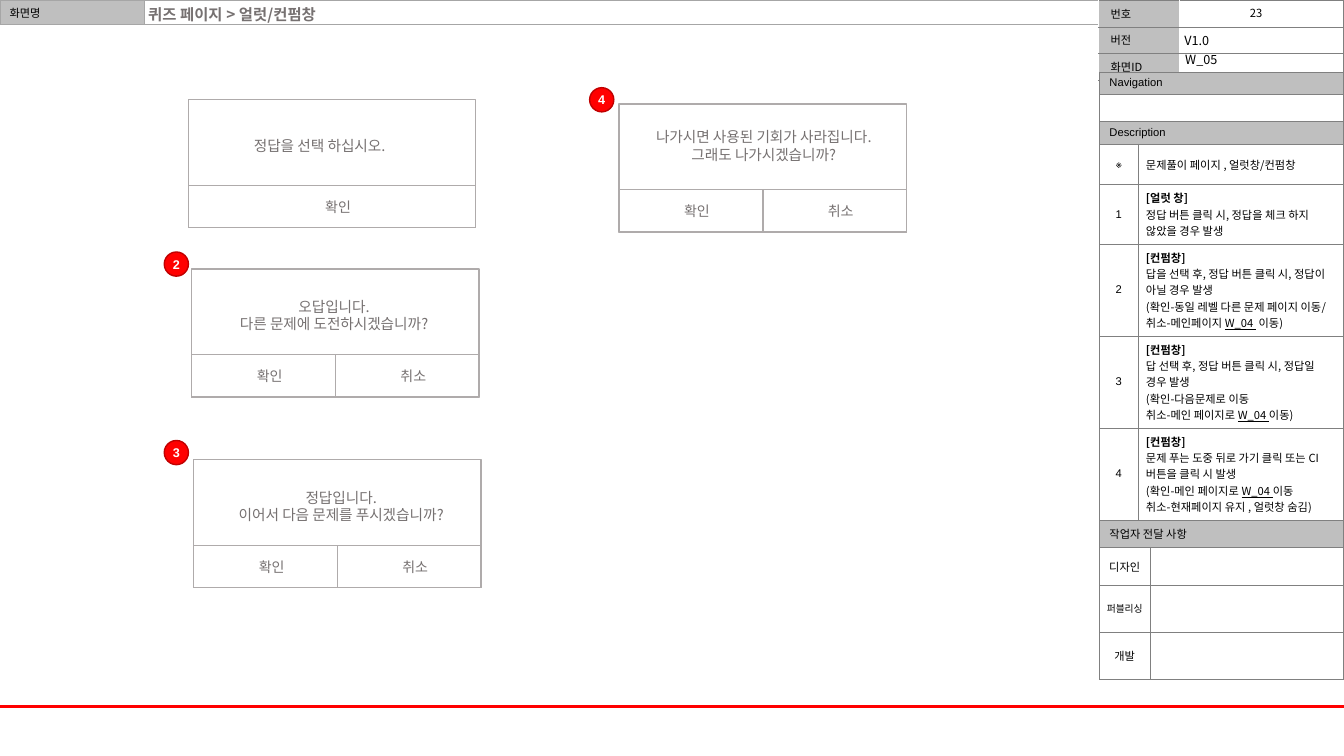
import pptx
import pptx.dml.color
import pptx.enum.shapes
import pptx.enum.text
import pptx.oxml.ns
import pptx.util
from lxml import etree

Cm = pptx.util.Cm
Pt = pptx.util.Pt
SHAPE = pptx.enum.shapes.MSO_SHAPE
ALIGN = pptx.enum.text.PP_ALIGN
MIDDLE = pptx.enum.text.MSO_ANCHOR.MIDDLE
qn = pptx.oxml.ns.qn

NOTO, ARIAL = "Noto Sans CJK KR", "Arial"
BLACK, WHITE, GRAY = "000000", "FFFFFF", "BFBFBF"
TEXT, FRAME, GRID, HEAD_GRID = "767171", "AFABAB", "808080", "A6A6A6"
RED, DARK_RED = "FF0000", "C00000"
LINK = "W_04 "
DIALOG_W, DIALOG_H, BUTTON_TOP, BUTTON_H, OK_W = 7.24, 3.23, 2.16, 1.07, 3.63

# Message, dialog corner, message box, buttons, badge number and corner
DIALOGS = [
    (["정답을 선택 하십시오."], (4.75, 2.51), (6.15, 3.33, 4.22, 0.71),
     ["확인"], None),
    (["오답입니다.", "다른 문제에 도전하시겠습니까?"], (4.83, 6.78),
     (5.51, 7.37, 5.82, 1.14), ["확인", "취소"], ("2", 4.14, 6.35)),
    (["정답입니다.", "이어서 다음 문제를 푸시겠습니까?"], (4.88, 11.58),
     (5.44, 12.19, 6.32, 1.14), ["확인", "취소"], ("3", 4.14, 11.1)),
    (["나가시면 사용된 기회가 사라집니다.", "그래도 나가시겠습니까?"], (15.6, 2.62),
     (15.95, 3.1, 6.6, 1.14), ["확인", "취소"], ("4", 14.86, 2.21)),
]

NOTES = [
    ("※", ["문제풀이 페이지 , 얼럿창/컨펌창"]),
    ("1", ["[얼럿 창]", "정답 버튼 클릭 시, 정답을 체크 하지 않았을 경우 발생"]),
    ("2", ["[컨펌창]", "답을 선택 후, 정답 버튼 클릭 시, 정답이 아닐 경우 발생",
           "(확인-동일 레벨 다른 문제 페이지 이동/ 취소-메인페이지 W_04  이동)"]),
    ("3", ["[컨펌창]", "답 선택 후, 정답 버튼 클릭 시, 정답일 경우 발생",
           "(확인-다음문제로 이동", "취소-메인 페이지로 W_04 이동)"]),
    ("4", ["[컨펌창]", "문제 푸는 도중 뒤로 가기 클릭 또는 CI버튼을 클릭 시 발생",
           "(확인-메인 페이지로 W_04 이동", "취소-현재페이지 유지 , 얼럿창 숨김)"]),
]
WORKERS = [("디자인", 8), ("퍼블리싱", 7), ("개발", 8)]


def rgb(color):
    return pptx.dml.color.RGBColor.from_string(color)


def write(tf, lines, size, font=NOTO, color=BLACK, align=ALIGN.LEFT, bold=False):
    for i, line in enumerate(lines):
        p = tf.paragraphs[0] if i == 0 else tf.add_paragraph()
        p.alignment = align
        f = p.font
        f.size, f.name, f.bold = Pt(size), font, bold or line.startswith("[")
        f.color.rgb = rgb(color)
        etree.SubElement(f._element, qn("a:ea"), typeface=NOTO)
        before, link, after = line.partition(LINK)
        for part in filter(None, (before, link, after)):
            r = p.add_run()
            r.text = part
            if part == LINK:
                r.font.underline = True
        if not line:
            etree.SubElement(p._p, qn("a:endParaRPr"), sz=str(size * 100))


def set_margins(box, left, top, right, bottom):
    box.margin_left, box.margin_top = Cm(left), Cm(top)
    box.margin_right, box.margin_bottom = Cm(right), Cm(bottom)


def add_text(s, box, lines, size, **style):
    tf = s.shapes.add_textbox(*map(Cm, box)).text_frame
    tf.word_wrap = False
    write(tf, lines, size, **style)
    return tf


def add_box(s, kind, box, line, fill=None):
    sp = s.shapes.add_shape(kind, *map(Cm, box))
    sp.shadow.inherit = False
    if fill:
        sp.fill.solid()
        sp.fill.fore_color.rgb = rgb(fill)
    else:
        sp.fill.background()
    sp.line.color.rgb = rgb(line)
    sp.line.width = Pt(1)
    sp.text_frame.vertical_anchor = MIDDLE
    return sp


def add_dialog(s, message, corner, message_box, buttons, badge):
    x, y = corner
    add_box(s, SHAPE.RECTANGLE, (x, y, DIALOG_W, DIALOG_H), FRAME, WHITE)
    widths = [OK_W, DIALOG_W - OK_W] if len(buttons) == 2 else [DIALOG_W]
    for i, (label, width) in enumerate(zip(buttons, widths)):
        button = (x + sum(widths[:i]), y + BUTTON_TOP, width, BUTTON_H)
        tf = add_box(s, SHAPE.RECTANGLE, button, FRAME).text_frame
        set_margins(tf, 0.55, 0.13, 0.25, 0.13)
        write(tf, [label], 10, ARIAL, TEXT, ALIGN.CENTER)
    align = ALIGN.CENTER if len(message) > 1 else ALIGN.LEFT
    add_text(s, message_box, message, 10.5, color=TEXT, align=align)
    if badge:
        number, left, top = badge
        tf = add_box(s, SHAPE.OVAL, (left, top, 0.61, 0.61), DARK_RED, RED).text_frame
        set_margins(tf, 0, 0, 0, 0)
        write(tf, [number], 9, ARIAL, WHITE, ALIGN.CENTER, True)


def add_table(s, left, top, widths, heights):
    box = map(Cm, (left, top, sum(widths), sum(heights)))
    table = s.shapes.add_table(len(heights), len(widths), *box).table
    table.first_row = table.horz_banding = False
    for column, width in zip(table.columns, widths):
        column.width = Cm(width)
    for row, height in zip(table.rows, heights):
        row.height = Cm(height)
    return table


def set_borders(cell, sides, color, width):
    tcPr = cell._tc.get_or_add_tcPr()
    for i, side in enumerate(sides):
        ln = etree.Element(qn("a:ln" + side), w=str(Pt(width)))
        fill = etree.SubElement(ln, qn("a:solidFill"))
        etree.SubElement(fill, qn("a:srgbClr"), val=color)
        tcPr.insert(i, ln)


def fill_cell(cell, lines=("",), fill=WHITE, size=8, margins=(0.1, 0.13), **style):
    if fill:
        cell.fill.solid()
        cell.fill.fore_color.rgb = rgb(fill)
    else:
        cell.fill.background()
    side, end = margins if any(lines) else (0, 0)
    set_margins(cell, side, end, side, end)
    cell.vertical_anchor = MIDDLE
    write(cell.text_frame, lines, size, **style)


def add_header(s):
    table = add_table(s, 0, 0, [3.63, 24.05], [0.61])
    fill_cell(table.cell(0, 0), ["화면명"], GRAY, margins=(0.24, 0))
    fill_cell(table.cell(0, 1), fill=None)
    for cell in table.iter_cells():
        set_borders(cell, "LRTB", HEAD_GRID, 0.5)


def add_screen_info(s):
    table = add_table(s, 27.69, 0, [2.03, 4.14], [0.67] * 3)
    for i, (label, value) in enumerate([("번호", ""), ("버전", "V1.0"), ("화면ID", "")]):
        fill_cell(table.cell(i, 0), [label], GRAY, margins=(0.3, 0.13))
        fill_cell(table.cell(i, 1), [value], size=9, margins=(0.13, 0.1))
        set_borders(table.cell(i, 0), "TB", GRID, 0.25)
        set_borders(table.cell(i, 1), "LRTB", GRID, 0.25)


def add_description(s):
    heights = [0.55, 0.68, 0.58, 1.03, 1.49] + [2.32] * 3 + [0.68, 0.96, 1.18, 1.18]
    table = add_table(s, 27.71, 1.81, [0.97, 0.3, 4.88], heights)

    # Full-width headings
    headings = {0: ("Navigation", ARIAL), 1: ("", ARIAL),
                2: ("Description", ARIAL), 8: ("작업자 전달 사항", NOTO)}
    for row, (label, font) in headings.items():
        table.cell(row, 0).merge(table.cell(row, 2))
        fill_cell(table.cell(row, 0), [label], GRAY if label else WHITE,
                  margins=(0.25, 0.05), font=font)

    # Numbered notes
    for row, (number, lines) in enumerate(NOTES, 3):
        table.cell(row, 1).merge(table.cell(row, 2))
        fill_cell(table.cell(row, 0), [number], font=ARIAL, align=ALIGN.CENTER)
        fill_cell(table.cell(row, 1), lines, margins=(0.2, 0.13))

    # Worker rows
    for row, (label, size) in enumerate(WORKERS, 9):
        table.cell(row, 0).merge(table.cell(row, 1))
        fill_cell(table.cell(row, 0), [label], size=size, align=ALIGN.CENTER)
        fill_cell(table.cell(row, 2))

    for cell in table.iter_cells():
        set_borders(cell, "LRTB", GRID, 0.25)


def add_footer_line(s):
    y = Cm(17.81)
    line = s.shapes.add_connector(pptx.enum.shapes.MSO_CONNECTOR.STRAIGHT, 0, y, Cm(33.87), y)
    line.line.color.rgb = rgb(RED)
    line.line.width = Pt(2)
    etree.SubElement(line._element.spPr, qn("a:effectLst"))


def add_title(s):
    title = s.shapes.title
    title.left, title.top, title.width, title.height = map(Cm, (3.48, 0, 10, 0.72))
    tf = title.text_frame
    tf.auto_size = pptx.enum.text.MSO_AUTO_SIZE.NONE
    tf.vertical_anchor = MIDDLE
    write(tf, ["퀴즈 페이지 > 얼럿/컨펌창"], 11, color=TEXT, bold=True)


def main():
    prs = pptx.Presentation()
    prs.slide_width, prs.slide_height = Cm(33.87), Cm(19.05)
    s = prs.slides.add_slide(prs.slide_layouts[5])

    # Page frame
    add_title(s)
    add_footer_line(s)
    add_header(s)

    # Side panel
    add_screen_info(s)
    add_description(s)
    tf = add_text(s, (30.73, 0.08, 1.85, 0.48), ["23"], 8, align=ALIGN.CENTER)
    set_margins(tf, 0.13, 0.13, 0.13, 0.13)
    tf.vertical_anchor = MIDDLE
    add_text(s, (29.62, 1.19, 1.32, 0.64), ["W_05"], 9)

    # Alert and confirm windows
    for dialog in DIALOGS:
        add_dialog(s, *dialog)
    prs.save("out.pptx")


if __name__ == "__main__":
    main()
